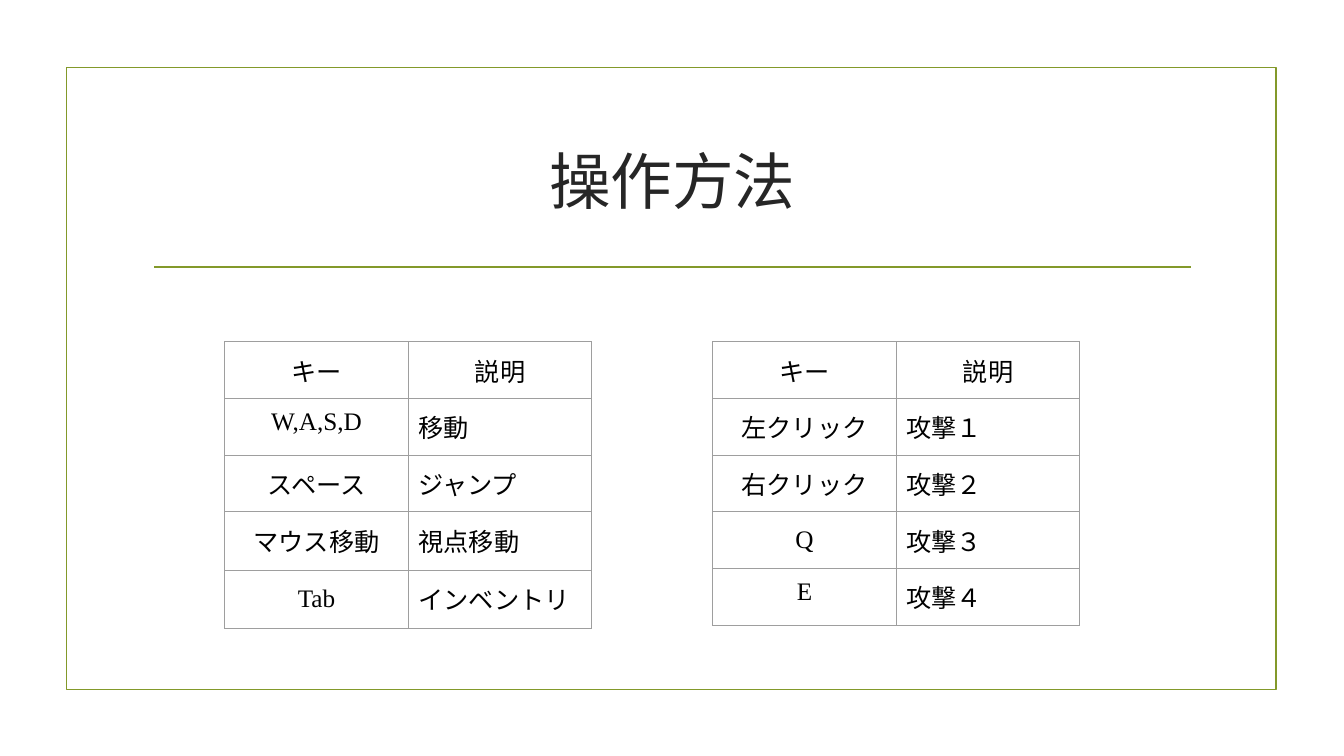
from dataclasses import dataclass

from lxml.etree import SubElement
from pptx import Presentation
from pptx.dml.color import RGBColor
from pptx.enum.shapes import MSO_CONNECTOR as Connector, MSO_SHAPE as Shape
from pptx.enum.text import MSO_ANCHOR as Anchor, PP_ALIGN as Align
from pptx.oxml.ns import qn
from pptx.slide import Slide
from pptx.table import _Cell as Cell
from pptx.text.text import TextFrame
from pptx.util import Emu, Pt

EMU_PER_PX = 9144
FONT = "Times New Roman"
OLIVE = RGBColor(0x83, 0x99, 0x2A)
GRAY = RGBColor(0x9E, 0x9E, 0x9E)
CHARCOAL = RGBColor(0x26, 0x26, 0x26)
BLACK = RGBColor(0, 0, 0)
LINE_WIDTH = Pt(1.25)
BORDER_WIDTH = Pt(0.75)

TABLE_TOP = 339
COLUMN_WIDTH = 182
CELL_MARGIN = 10
HEADER = ("キー", "説明")


@dataclass(frozen=True)
class Control:
    key: str
    action: str
    key_anchor: Anchor = Anchor.TOP
    height: int = 56


@dataclass(frozen=True)
class ControlTable:
    left: int
    controls: tuple[Control, ...]


CONTROL_TABLES = (
    ControlTable(223, (
        Control("W,A,S,D", "移動"),
        Control("スペース", "ジャンプ"),
        Control("マウス移動", "視点移動", Anchor.MIDDLE, 58),
        Control("Tab", "インベントリ", Anchor.MIDDLE, 58),
    )),
    ControlTable(707, (
        Control("左クリック", "攻撃１"),
        Control("右クリック", "攻撃２", Anchor.MIDDLE),
        Control("Q", "攻撃３", Anchor.MIDDLE),
        Control("E", "攻撃４"),
    )),
)


def px(length: int) -> Emu:
    return Emu(length * EMU_PER_PX)


def write_text(frame: TextFrame, text: str, *, size: int = 18,
               color: RGBColor = BLACK, align: Align = Align.CENTER) -> None:
    paragraph = frame.paragraphs[0]
    paragraph.alignment = align
    run = paragraph.add_run()
    run.text = text
    run.font.name = FONT
    run.font.size = Pt(size)
    run.font.color.rgb = color


def add_borders(cell: Cell) -> None:
    properties = cell._tc.get_or_add_tcPr()
    for side in ("a:lnL", "a:lnR", "a:lnT", "a:lnB"):
        border = SubElement(properties, qn(side), w=str(BORDER_WIDTH))
        fill = SubElement(border, qn("a:solidFill"))
        SubElement(fill, qn("a:srgbClr"), val=str(GRAY))


def fill_cell(cell: Cell, text: str, align: Align, anchor: Anchor) -> None:
    add_borders(cell)
    cell.fill.background()
    cell.margin_left = cell.margin_right = px(CELL_MARGIN)
    cell.margin_top = cell.margin_bottom = px(CELL_MARGIN)
    cell.vertical_anchor = anchor
    write_text(cell.text_frame, text, align=align)


def add_control_table(slide: Slide, spec_table: ControlTable) -> None:
    rows = (Control(*HEADER), *spec_table.controls)
    table = slide.shapes.add_table(
        len(rows), len(HEADER), px(spec_table.left), px(TABLE_TOP),
        px(COLUMN_WIDTH * len(HEADER)), px(sum(row.height for row in rows)),
    ).table
    table.first_row = False
    table.horz_banding = False
    for column in table.columns:
        column.width = px(COLUMN_WIDTH)
    for index, control in enumerate(rows):
        table.rows[index].height = px(control.height)
        action_align = Align.CENTER if index == 0 else Align.LEFT
        fill_cell(table.cell(index, 0), control.key, Align.CENTER, control.key_anchor)
        fill_cell(table.cell(index, 1), control.action, action_align, Anchor.TOP)


def add_frame(slide: Slide) -> None:
    frame = slide.shapes.add_shape(Shape.RECTANGLE, px(66), px(67), px(1200), px(617))
    frame.shadow.inherit = False
    frame.fill.background()
    frame.line.color.rgb = OLIVE
    frame.line.width = LINE_WIDTH


def add_divider(slide: Slide) -> None:
    divider = slide.shapes.add_connector(
        Connector.STRAIGHT, px(153), px(265), px(1181), px(265))
    divider.line.color.rgb = OLIVE
    divider.line.width = LINE_WIDTH
    SubElement(divider._element.spPr, qn("a:effectLst"))


def add_title(slide: Slide) -> None:
    frame = slide.shapes.add_textbox(px(142), px(107), px(1050), px(143)).text_frame
    frame.word_wrap = True
    frame.vertical_anchor = Anchor.MIDDLE
    write_text(frame, "操作方法", size=44, color=CHARCOAL)


def main() -> None:
    presentation = Presentation()
    presentation.slide_width = px(1333)
    presentation.slide_height = px(750)
    slide = presentation.slides.add_slide(presentation.slide_layouts[6])
    add_frame(slide)
    add_divider(slide)
    for control_table in CONTROL_TABLES:
        add_control_table(slide, control_table)
    add_title(slide)
    presentation.save("out.pptx")


if __name__ == "__main__":
    main()
